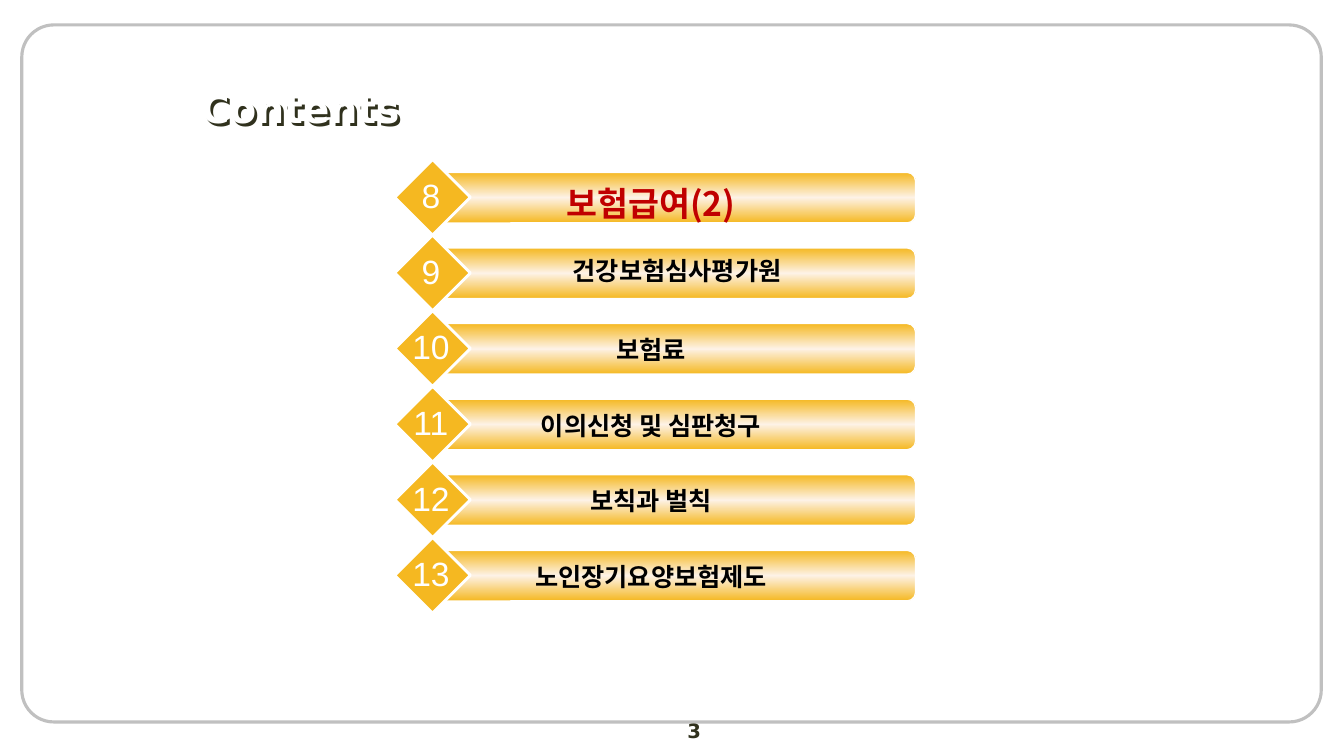
"""Build a contents slide with six numbered bars."""
import copy

import pptx
import pptx.dml.color
import pptx.enum.shapes
import pptx.enum.text
import pptx.oxml
import pptx.oxml.ns
import pptx.util

HUES = {"gold": "F5B821", "cream": "FDF2E6", "white": "FFFFFF", "gray": "C0C0C0",
        "red": "C00000", "black": "000000", "olive": "30311D"}
KOREAN = "Noto Sans CJK KR"
FORMS = pptx.enum.shapes.MSO_SHAPE
ALIGN = pptx.enum.text.PP_ALIGN
ANCHOR = pptx.enum.text.MSO_ANCHOR
SHADOW = ('<a:effectLst xmlns:a="http://schemas.openxmlformats.org/drawingml/2006/main">'
          '<a:outerShdw dist="35921" dir="2700000" algn="ctr" rotWithShape="0">'
          '<a:srgbClr val="%s"/></a:outerShdw></a:effectLst>' % HUES["olive"])


class Deck:
    def __init__(self):
        self.show = pptx.Presentation()
        self.show.slide_width = pptx.util.Inches(13.333)
        self.show.slide_height = pptx.util.Inches(7.5)
        self.col = self.show.slide_width / 16
        self.row = self.show.slide_height / 10
        self.slide = self.show.slides.add_slide(self.show.slide_layouts[5])

    def place(self, x, y, w, h):
        return [round(x * self.col), round(y * self.row),
                round(w * self.col), round(h * self.row)]

    def tint(self, name):
        return pptx.dml.color.RGBColor.from_string(HUES[name])

    def style(self, frame, text, size, hue, font, bold=False, align=ALIGN.CENTER):
        frame.text = text
        part = frame.paragraphs[0]
        part.alignment = align
        run = part.runs[0]
        run.font.size = pptx.util.Pt(size)
        run.font.bold = bold
        run.font.color.rgb = self.tint(hue)
        run.font.name = font
        east = pptx.oxml.parse_xml(
            '<a:ea xmlns:a="http://schemas.openxmlformats.org/drawingml/2006/main" '
            f'typeface="{KOREAN}"/>')
        run.font._element.find(pptx.oxml.ns.qn("a:latin")).addnext(east)

    def title(self, text, box):
        head = self.slide.shapes.title
        head.left, head.top, head.width, head.height = self.place(*box)
        self.style(head.text_frame, text, 28, "white", "DejaVu Sans", True, ALIGN.LEFT)
        head.text_frame.vertical_anchor = ANCHOR.MIDDLE
        head.fill.background()
        head.line.fill.background()
        head._element.spPr.append(pptx.oxml.parse_xml(SHADOW))

    def shape(self, form, box, line, width, fill=None, curve=None):
        item = self.slide.shapes.add_shape(form, *self.place(*box))
        item.shadow.inherit = False
        item.line.color.rgb = self.tint(line)
        item.line.width = pptx.util.Pt(width)
        if curve:
            item.adjustments[0] = curve
        if fill:
            item.fill.solid()
            item.fill.fore_color.rgb = self.tint(fill)
        else:
            item.fill.background()
        return item

    def bar(self, box):
        item = self.shape(FORMS.ROUNDED_RECTANGLE, box, "white", 1, curve=0.167)
        item.fill.gradient()
        item.fill.gradient_angle = 90
        stops = item._element.spPr.find(".//" + pptx.oxml.ns.qn("a:gsLst"))
        stops.append(copy.deepcopy(stops[0]))
        for stop, hue, spot in zip(item.fill.gradient_stops,
                                   ("gold", "cream", "gold"), (0, 0.5, 1)):
            stop.color.rgb = self.tint(hue)
            stop.position = spot

    def text(self, text, box, size, hue, font, bold=False):
        frame = self.slide.shapes.add_textbox(*self.place(*box)).text_frame
        frame.word_wrap = True
        self.style(frame, text, size, hue, font, bold)


def main():
    deck = Deck()
    deck.shape(FORMS.ROUNDED_RECTANGLE, (0.26, 0.33, 15.47, 9.22), "gray", 2.25,
               curve=0.046)
    deck.text("3", (6.4, 9.44, 3.73, 0.36), 14, "olive", "DejaVu Sans", True)
    deck.title("Contents", (2.27, 1.04, 12.8, 0.77))

    plain = (5.5, 2.36, 18, "black", "Arial")
    items = [("보험급여(2)", 5.5, 2.36, 24, "red", KOREAN),
             ("건강보험심사평가원", 5.81, 2.31, 18, "black", "Arial"),
             ("보험료", *plain),
             ("이의신청 및 심판청구", *plain),
             ("보칙과 벌칙", *plain),
             ("노인장기요양보험제도", *plain)]
    for step, (label, left, top, size, hue, font) in enumerate(items):
        deck.bar((5.2, 2.28 + step, 5.7, 0.67))
        deck.shape(FORMS.DIAMOND, (4.7, 2.11 + step, 0.9, 1), "white", 2, "gold")
        deck.text(label, (left, top + step, 4.5, 0.53), size, hue, font, True)
        deck.text(str(8 + step), (4.63, 2.25 + step, 1, 0.67), 24, "white", "Arial")
    deck.show.save("out.pptx")


if __name__ == "__main__":
    main()
